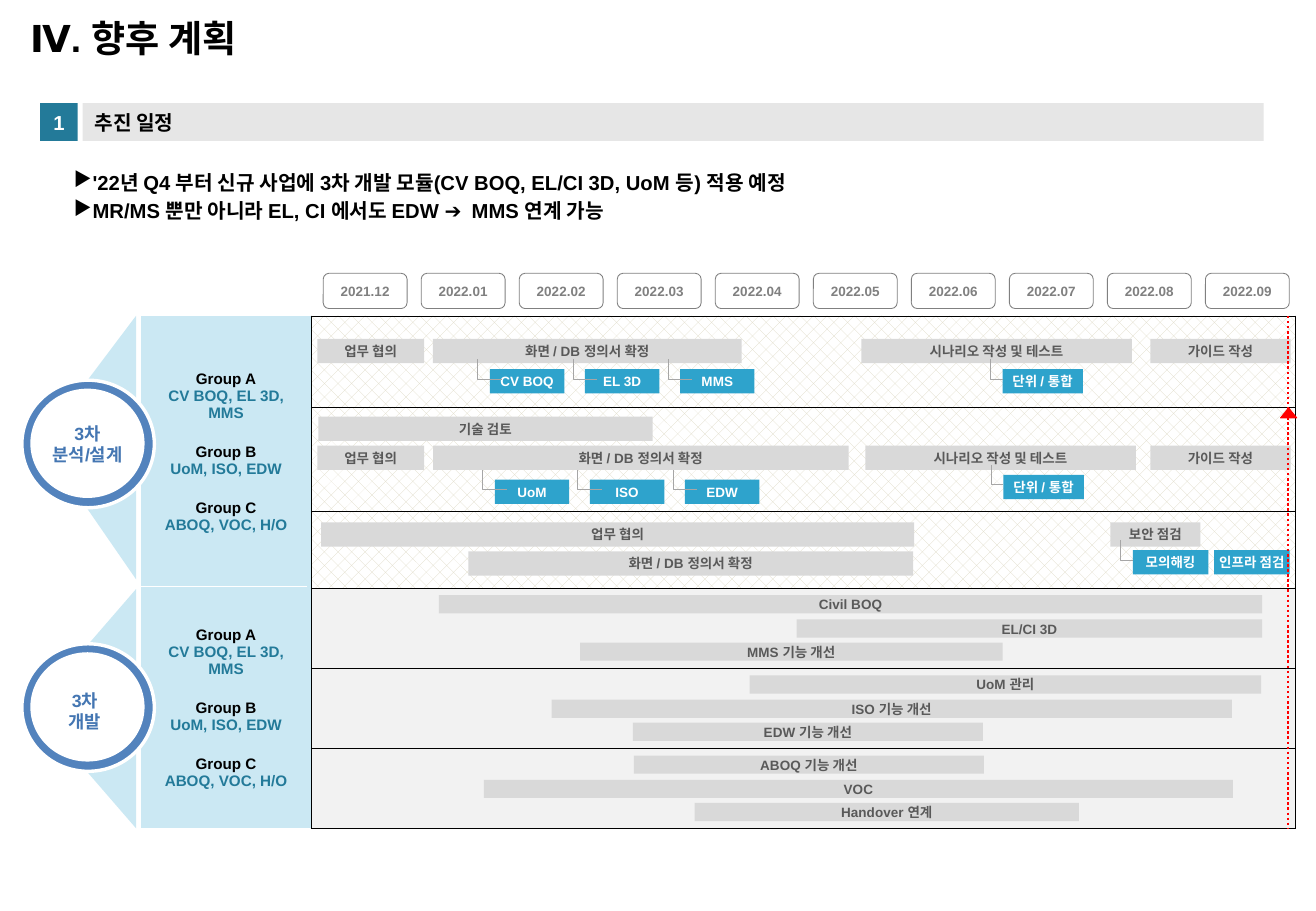
from itertools import accumulate
from lxml.etree import SubElement
from pptx import Presentation
from pptx.dml.color import RGBColor
from pptx.enum.dml import MSO_LINE, MSO_PATTERN
from pptx.enum.shapes import MSO_CONNECTOR, MSO_SHAPE
from pptx.enum.text import MSO_ANCHOR, PP_ALIGN
from pptx.oxml import parse_xml
from pptx.oxml.ns import nsdecls, qn
from pptx.util import Inches, Pt

BLACK, WHITE = RGBColor(0, 0, 0), RGBColor(255, 255, 255)
TEAL, PALE, SKY = RGBColor(0x23, 0x7A, 0x99), RGBColor(0xCB, 0xE8, 0xF3), RGBColor(0x2E, 0xA3, 0xCC)
RING, PHASE = RGBColor(0x53, 0x83, 0xBD), RGBColor(0x44, 0x76, 0xB2)
GRAY, DARK, BAR = RGBColor(0x80, 0x80, 0x80), RGBColor(0x59, 0x59, 0x59), RGBColor(0xD9, 0xD9, 0xD9)
BAND, ROW, HOOK = RGBColor(0xE6, 0xE6, 0xE6), RGBColor(0xF2, 0xF2, 0xF2), RGBColor(0xA6, 0xA6, 0xA6)
HATCH, RED = RGBColor(0xDD, 0xD9, 0xC3), RGBColor(255, 0, 0)

TITLE, SECTION = "Ⅳ. 향후 계획", "추진 일정"
POINTS = ["'22년 Q4 부터 신규 사업에 3차 개발 모듈(CV BOQ, EL/CI 3D, UoM 등) 적용 예정",
          "MR/MS 뿐만 아니라 EL, CI 에서도 EDW ➔ MMS 연계 가능"]
MONTHS = ["2021.12"] + [f"2022.{n:02}" for n in range(1, 10)]
GROUPS = [("Group A", "CV BOQ, EL 3D, MMS"), ("Group B", "UoM, ISO, EDW"), ("Group C", "ABOQ, VOC, H/O")]
PHASES = [(["3차", "분석/설계"], 3.13, 0, 3.48, [(2.6, 0.77), (3.93, 0.84)]),
          (["3차", "개발"], 5.3, -0.02, 5.68, [(4.85, 0.67), (6.15, 0.67)])]

LEFT, TOP, COLS = 1.16, 2.26, [1.4, 8.1]
ROWS = [0.34, 0.75, 0.86, 0.63, 0.66, 0.66, 0.66]
ROW_TOPS = [TOP + h for h in accumulate(ROWS)]
FIRST, PITCH = 2.66, 7.26 / 9
DEV = [0.06, 0.26, 0.45]

# row, offset in row, start month, months, text
BARS = [
    (0, 0.19, -0.06, 1.09, "업무 협의"), (0, 0.19, 1.12, 3.15, "화면 / DB 정의서 확정"),
    (0, 0.19, 5.49, 2.76, "시나리오 작성 및 테스트"), (0, 0.19, 8.44, 1.43, "가이드 작성"),
    (1, 0.08, -0.05, 3.41, "기술 검토"), (1, 0.32, -0.06, 1.09, "업무 협의"),
    (1, 0.32, 1.12, 4.24, "화면 / DB 정의서 확정"), (1, 0.32, 5.53, 2.76, "시나리오 작성 및 테스트"),
    (1, 0.32, 8.44, 1.43, "가이드 작성"), (2, 0.09, -0.02, 6.05, "업무 협의"),
    (2, 0.33, 1.48, 4.54, "화면 / DB 정의서 확정"), (2, 0.09, 8.03, 0.92, "보안 점검"),
    (3, DEV[0], 1.18, 8.4, "Civil BOQ"), (3, DEV[1], 4.83, 4.75, "EL/CI 3D"),
    (3, DEV[2], 2.62, 4.31, "MMS 기능 개선"), (4, DEV[0], 4.35, 5.22, "UoM 관리"),
    (4, DEV[1], 2.33, 6.94, "ISO 기능 개선"), (4, DEV[2], 3.16, 3.57, "EDW 기능 개선"),
    (5, DEV[0], 3.17, 3.57, "ABOQ 기능 개선"), (5, DEV[1], 1.64, 7.64, "VOC"),
    (5, DEV[2], 3.79, 3.92, "Handover 연계")]
# the last value is how far the hook runs from its corner
TASKS = [
    (0, 0.44, 1.7, 0.76, "CV BOQ", 0.2), (0, 0.44, 2.67, 0.76, "EL 3D", 0.2),
    (0, 0.44, 3.64, 0.76, "MMS", 0.2), (0, 0.44, 6.93, 0.82, "단위 / 통합", 0.1),
    (1, 0.6, 1.75, 0.76, "UoM", 0.2), (1, 0.6, 2.72, 0.76, "ISO", 0.2),
    (1, 0.6, 3.69, 0.76, "EDW", 0.2), (1, 0.56, 6.94, 0.82, "단위 / 통합", 0.1),
    (2, 0.32, 8.26, 0.77, "모의해킹", 0.1), (2, 0.32, 9.09, 0.77, "인프라 점검", 0)]

prs = Presentation()
prs.slide_width, prs.slide_height = Inches(10.83), Inches(7.5)
s = prs.slides.add_slide(prs.slide_layouts[6])


def write(tf, lines, size=8, color=DARK, align=PP_ALIGN.CENTER, inset=(0, 0), before=0, bullet=None):
    tf.word_wrap = True
    tf.vertical_anchor = MSO_ANCHOR.MIDDLE
    tf.margin_left = tf.margin_right = Inches(inset[0])
    tf.margin_top = tf.margin_bottom = Inches(inset[1])
    for i, text in enumerate(lines):
        p = tf.paragraphs[0] if i == 0 else tf.add_paragraph()
        if bullet:
            pPr = p._p.get_or_add_pPr()
            pPr.set("marL", str(Inches(0.15)))
            pPr.set("indent", str(-Inches(0.15)))
            SubElement(pPr, qn("a:buChar")).set("char", bullet)
        p.alignment = align
        if i:
            p.space_before = Pt(before)
        add_run(p, text, size, color)


def add_run(p, text, size, color):
    r = p.add_run()
    r.text = text
    r.font.name, r.font.size, r.font.bold = "Arial", Pt(size), True
    r.font.color.rgb = color


def shape(kind, x, y, w, h, fill, line=None, width=0.5, flip=""):
    sp = s.shapes.add_shape(kind, *map(Inches, (x, y, w, h)))
    sp.shadow.inherit = False
    sp.fill.solid()
    sp.fill.fore_color.rgb = fill
    if line is None:
        sp.line.fill.background()
    else:
        sp.line.color.rgb, sp.line.width = line, Pt(width)
    for axis in flip:
        sp._element.spPr.xfrm.set("flip" + axis, "1")
    return sp


def textbox(x, y, w, h, lines, **fmt):
    tf = s.shapes.add_textbox(*map(Inches, (x, y, w, h))).text_frame
    write(tf, lines, **fmt)
    return tf


def line(x1, y1, x2, y2, color, width):
    c = s.shapes.add_connector(MSO_CONNECTOR.STRAIGHT, *map(Inches, (x1, y1, x2, y2)))
    c.line.color.rgb, c.line.width = color, Pt(width)
    SubElement(c._element.spPr, qn("a:effectLst"))
    return c


def hook(x, y, run):
    fb = s.shapes.build_freeform(Inches(x), Inches(y))
    fb.add_line_segments([(Inches(x), Inches(y + 0.16)), (Inches(x + run), Inches(y + 0.16))], close=False)
    sp = fb.convert_to_shape()
    sp.shadow.inherit = False
    sp.fill.background()
    sp.line.color.rgb, sp.line.width = HOOK, Pt(0.25)


def borders(cell, black):
    tcPr = cell._tc.get_or_add_tcPr()
    for i, side in enumerate("LRTB"):
        paint = '<a:solidFill><a:srgbClr val="000000"/></a:solidFill>' if side in black else "<a:noFill/>"
        tcPr.insert(i, parse_xml(f'<a:ln{side} {nsdecls("a")} w="3175">{paint}</a:ln{side}>'))


def place(row, offset, month):
    return FIRST + PITCH * month, ROW_TOPS[row] + offset


for _, _, _, _, wings in PHASES:
    for (y, h), flip in zip(wings, ("H", "HV")):
        shape(MSO_SHAPE.RIGHT_TRIANGLE, 0.54, y, 0.58, h, PALE, flip=flip)

tbl = s.shapes.add_table(len(ROWS), 2, *map(Inches, (LEFT, TOP, sum(COLS), sum(ROWS)))).table
tbl.first_row = tbl.horz_banding = False
for col, w in zip(tbl.columns, COLS):
    col.width = Inches(w)
for i, h in enumerate(ROWS):
    tbl.rows[i].height = Inches(h)
    for j in range(2):
        cell = tbl.cell(i, j)
        cell.margin_top = cell.margin_bottom = 0
        SubElement(cell.text_frame.paragraphs[0]._p, qn("a:endParaRPr")).set("sz", "900")
        if i == 0:
            cell.fill.background()
        elif j and i < 4:
            cell.fill.patterned()
            cell.fill.pattern = MSO_PATTERN.PERCENT_25
            cell.fill.fore_color.rgb, cell.fill.back_color.rgb = HATCH, WHITE
        else:
            cell.fill.solid()
            cell.fill.fore_color.rgb = ROW if j else PALE
        borders(cell, ("B" if j else "") if i == 0 else ("LRTB" if j else "R"))
for top in (1, 4):
    cell = tbl.cell(top, 0)
    cell.merge(tbl.cell(top + 2, 0))
    cell.vertical_anchor = MSO_ANCHOR.MIDDLE
    for i, (name, scope) in enumerate(GROUPS):
        for text, color, gap in ((name, BLACK, 13 if i else 0), (scope, TEAL, 0)):
            tf = cell.text_frame
            p = tf.add_paragraph() if i or gap or color == TEAL else tf.paragraphs[0]
            p.alignment, p.space_before = PP_ALIGN.CENTER, Pt(gap)
            add_run(p, text, 9, color)

for label, y, x, text_y, _ in PHASES:
    shape(MSO_SHAPE.OVAL, 0.18, y, 1.09, 1.05, RING, WHITE, 2)
    shape(MSO_SHAPE.OVAL, 0.25, y + 0.07, 0.94, 0.9, WHITE)
    textbox(x, text_y, 1.44, 0.35, label, size=10.5, color=PHASE)

for i, month in enumerate(MONTHS):
    sp = shape(MSO_SHAPE.ROUNDED_RECTANGLE, FIRST + PITCH * i, 2.25, 0.69, 0.29, WHITE, GRAY)
    write(sp.text_frame, [month], color=GRAY)
for row, offset, month, span, text in BARS:
    sp = shape(MSO_SHAPE.RECTANGLE, *place(row, offset, month), PITCH * span, 0.2 if row < 3 else 0.15, BAR)
    write(sp.text_frame, [text])
for row, offset, month, span, text, run in TASKS:
    x, y = place(row, offset, month)
    sp = shape(MSO_SHAPE.RECTANGLE, x, y, PITCH * span, 0.2, SKY)
    write(sp.text_frame, [text], color=WHITE)
    if run:
        hook(x - 0.1, y - 0.08, run)

line(2.53, 4.83, 1.13, 4.83, WHITE, 0.75)
line(10.6, ROW_TOPS[0], 10.6, ROW_TOPS[-1], RED, 1.5).line.dash_style = MSO_LINE.ROUND_DOT
shape(MSO_SHAPE.ISOSCELES_TRIANGLE, 10.54, 3.36, 0.13, 0.08, RED, RED, 0.75)

textbox(0.15, 0.01, 5.67, 0.6, [TITLE], size=22, color=BLACK, align=PP_ALIGN.LEFT, inset=(0.1, 0.05))
sp = shape(MSO_SHAPE.RECTANGLE, 0.33, 0.85, 0.31, 0.31, TEAL)
write(sp.text_frame, ["1"], size=12, color=WHITE)
sp = shape(MSO_SHAPE.RECTANGLE, 0.68, 0.85, 9.72, 0.31, BAND)
write(sp.text_frame, [SECTION], size=12, color=BLACK, align=PP_ALIGN.LEFT, inset=(0.1, 0.05))
textbox(0.51, 1.35, 8.92, 0.59, POINTS, size=12, color=BLACK, align=PP_ALIGN.LEFT,
        inset=(0.1, 0.05), before=2.4, bullet="▶").vertical_anchor = MSO_ANCHOR.TOP

prs.save("out.pptx")
